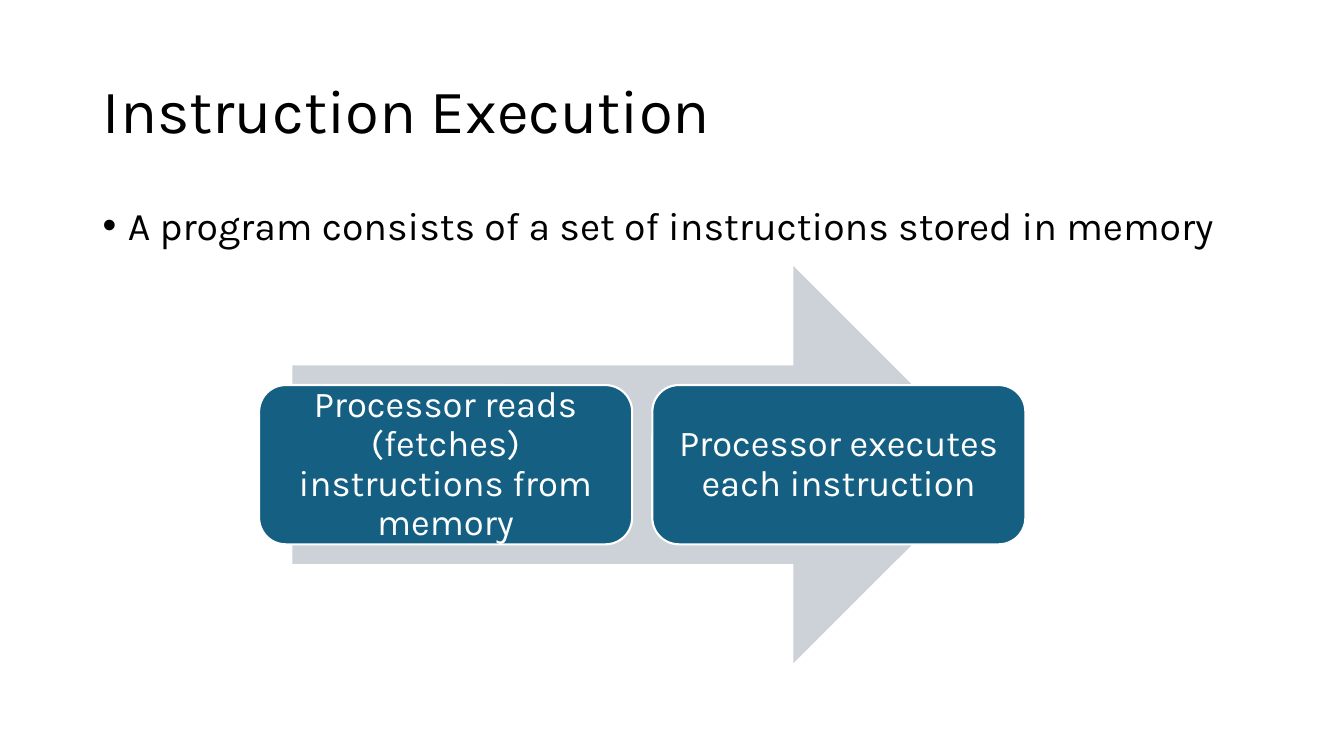
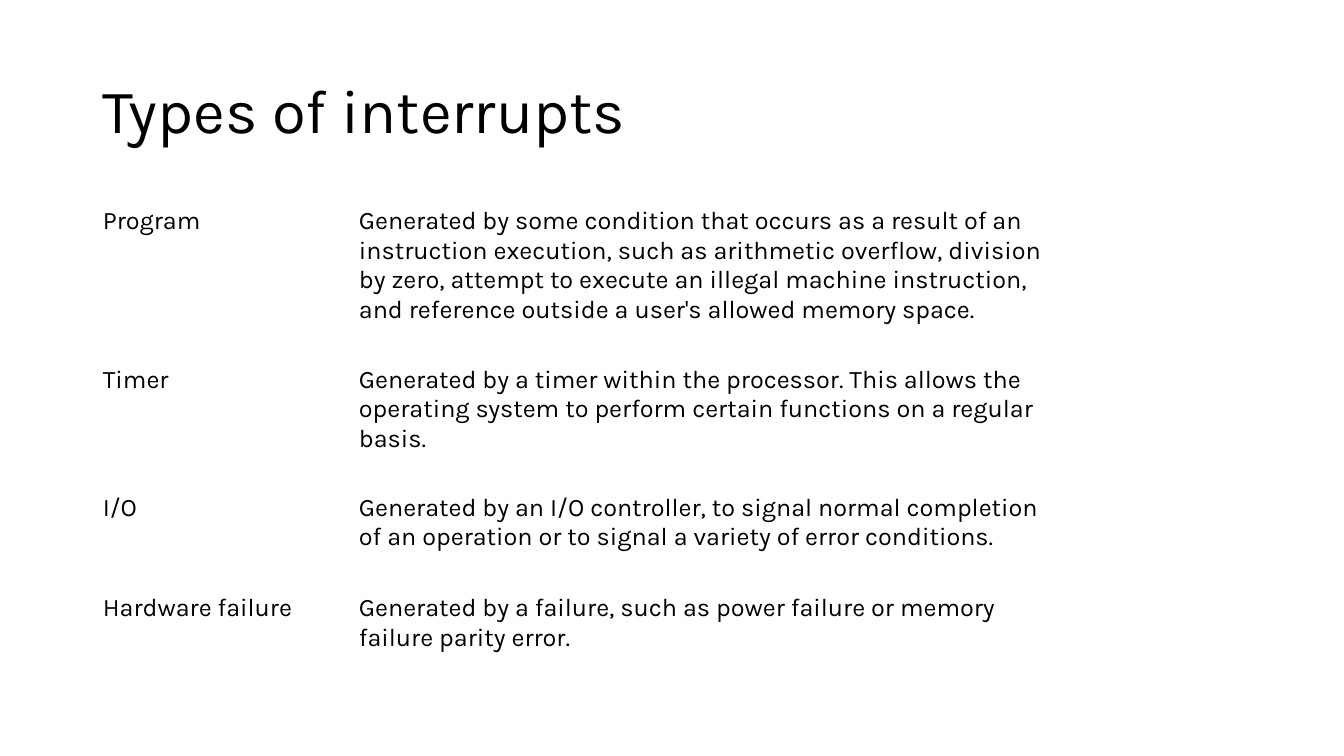
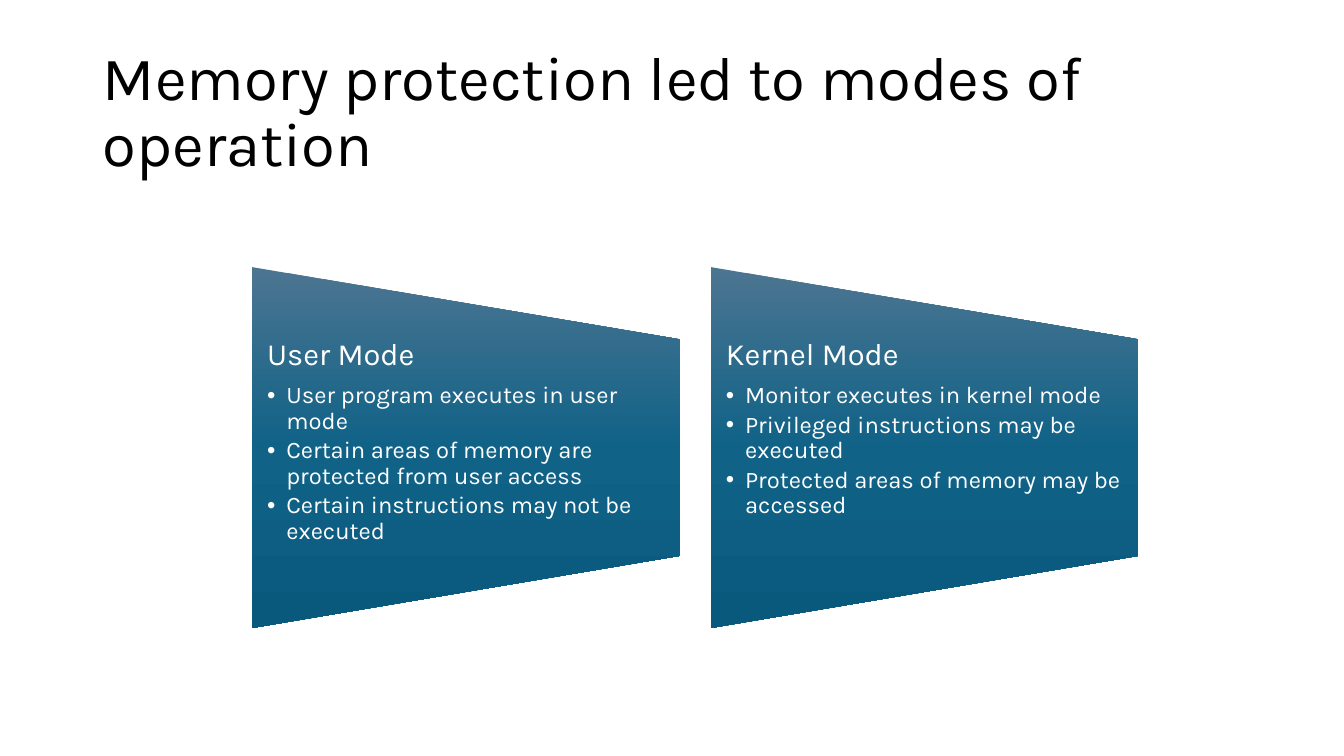
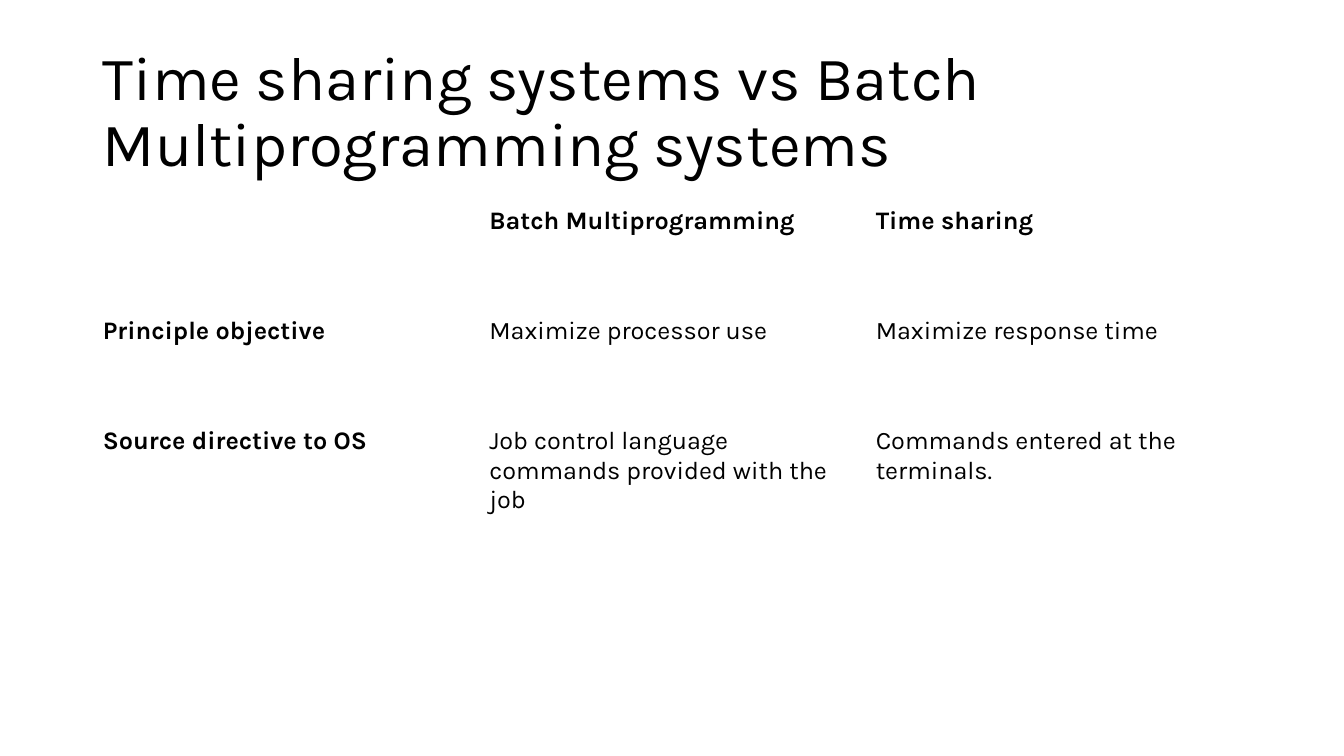
"""Build four slides on operating system basics."""
from dataclasses import dataclass

from lxml.etree import SubElement
from pptx import Presentation
from pptx.dml.color import RGBColor
from pptx.enum.shapes import MSO_SHAPE
from pptx.enum.text import MSO_ANCHOR, MSO_AUTO_SIZE, PP_ALIGN
from pptx.oxml.ns import qn
from pptx.presentation import Presentation as Deck
from pptx.shapes.autoshape import Shape
from pptx.slide import Slide
from pptx.text.text import TextFrame
from pptx.util import Inches, Pt

ARROW = MSO_SHAPE.RIGHT_ARROW
ROUND = MSO_SHAPE.ROUNDED_RECTANGLE
FLAP = MSO_SHAPE.FLOWCHART_MANUAL_OPERATION
LEFT, CENTER = PP_ALIGN.LEFT, PP_ALIGN.CENTER
MIDDLE = MSO_ANCHOR.MIDDLE
FIXED = MSO_AUTO_SIZE.NONE
BLANK = 5


@dataclass(frozen=True)
class Theme:
    """Colours, font, type sizes and the shared grid."""
    font: str = "Karla"
    ink: str = "000000"
    paper: str = "FFFFFF"
    blue: str = "156082"
    grey: str = "CCD2D8"
    fade: tuple[tuple[int, str], ...] = ((0, "4C7591"), (50, "106287"), (100, "09597D"))
    title: int = 44
    body: int = 28
    step: int = 26
    head: int = 22
    cell: int = 18
    item: int = 17
    lead: float = 0.9
    left: float = 0.92
    top: float = 2.0
    wide: float = 11.5


@dataclass(frozen=True)
class Box:
    """A place on the slide, in inches."""
    x: float
    y: float
    w: float
    h: float

    def emu(self) -> tuple[int, int, int, int]:
        """Give the four lengths for python-pptx."""
        return Inches(self.x), Inches(self.y), Inches(self.w), Inches(self.h)


@dataclass(frozen=True)
class Mode:
    """A mode of operation and its rules."""
    name: str
    rules: tuple[str, ...]


@dataclass(frozen=True)
class Grid:
    """A table with its column widths and row heights."""
    cols: tuple[float, ...]
    rows: tuple[float, ...]
    cells: tuple[tuple[str, ...], ...]
    heads: bool = False


T = Theme()

STEPS = (
    "Processor reads (fetches) instructions from memory",
    "Processor executes each instruction",
)
MODES = (
    Mode("User Mode", (
        "User program executes in user mode",
        "Certain areas of memory are protected from user access",
        "Certain instructions may not be executed",
    )),
    Mode("Kernel Mode", (
        "Monitor executes in kernel mode",
        "Privileged instructions may be executed",
        "Protected areas of memory may be accessed",
    )),
)
KINDS = Grid((2.54, 7.17), (1.57, 1.27, 1.0, 0.76), (
    ("Program", "Generated by some condition that occurs as a result of an instruction "
     "execution, such as arithmetic overflow, division by zero, attempt to execute an "
     "illegal machine instruction, and reference outside a user's allowed memory space."),
    ("Timer", "Generated by a timer within the processor. This allows the operating "
     "system to perform certain functions on a regular basis."),
    ("I/O", "Generated by an I/O controller, to signal normal completion of an "
     "operation or to signal a variety of error conditions."),
    ("Hardware failure", "Generated by a failure, such as power failure or memory "
     "failure parity error."),
))
GOALS = Grid((T.wide / 3,) * 3, (1.09, 1.09, 1.88), (
    ("", "Batch Multiprogramming", "Time sharing"),
    ("Principle objective", "Maximize processor use", "Maximize response time"),
    ("Source directive to OS", "Job control language commands provided with the job",
     "Commands entered at the terminals."),
), heads=True)


def write(frame: TextFrame, text: str, *, size: int, color: str = T.ink,
          bold: bool = False, align: PP_ALIGN = LEFT, lead: float = T.lead,
          before: float = 0, after: int = 0, hang: float = 0) -> None:
    """Add a paragraph; after is a percentage and hang makes a bullet."""
    para = frame.paragraphs[0]
    if para.runs:
        para = frame.add_paragraph()
    para.alignment = align
    para.line_spacing = lead
    para.space_before = Pt(before)
    run = para.add_run()
    run.text = text
    font = run.font
    font.name, font.size, font.bold = T.font, Pt(size), bold
    font.color.rgb = RGBColor.from_string(color)
    props = para._p.get_or_add_pPr()
    if after:
        gap = SubElement(props, qn("a:spcAft"))
        SubElement(gap, qn("a:spcPct"), val=str(after * 1000))
    if hang:
        props.set("marL", str(Inches(hang)))
        props.set("indent", str(-Inches(hang)))
        SubElement(props, qn("a:buFont"), typeface="Arial")
        SubElement(props, qn("a:buChar"), char="•")


def start(deck: Deck, text: str) -> Slide:
    """Add a slide with its title."""
    slide = deck.slides.add_slide(deck.slide_layouts[BLANK])
    title = slide.shapes.title
    title.left, title.top, title.width, title.height = Box(T.left, 0.4, T.wide, 1.45).emu()
    frame = title.text_frame
    frame.auto_size, frame.vertical_anchor = FIXED, MIDDLE
    write(frame, text, size=T.title)
    return slide


def area(slide: Slide, box: Box) -> TextFrame:
    """Add a wrapping text box."""
    frame = slide.shapes.add_textbox(*box.emu()).text_frame
    frame.word_wrap = True
    return frame


def plain(slide: Slide, kind: MSO_SHAPE, box: Box, fill: str = T.blue) -> Shape:
    """Add a flat shape with no outline."""
    shape = slide.shapes.add_shape(kind, *box.emu())
    shape.shadow.inherit = False
    shape.fill.solid()
    shape.fill.fore_color.rgb = RGBColor.from_string(fill)
    shape.line.fill.background()
    return shape


def shade(shape: Shape) -> None:
    """Fade the fill from top to bottom, whatever the rotation."""
    shape.fill.gradient()
    shape.fill.gradient_angle = 270
    grad = shape.element.spPr.find(qn("a:gradFill"))
    grad.set("rotWithShape", "0")
    stops = grad.find(qn("a:gsLst"))
    for old in list(stops):
        stops.remove(old)
    for pos, color in T.fade:
        stop = SubElement(stops, qn("a:gs"), pos=str(pos * 1000))
        SubElement(stop, qn("a:srgbClr"), val=color)


def step(slide: Slide, text: str, box: Box) -> None:
    """Draw one rounded step of the process."""
    shape = plain(slide, ROUND, box)
    shape.line.color.rgb = RGBColor.from_string(T.paper)
    shape.line.width = Pt(1.5)
    frame = shape.text_frame
    frame.word_wrap, frame.vertical_anchor = True, MIDDLE
    frame.margin_left = frame.margin_right = Inches(0.11)
    frame.margin_top = frame.margin_bottom = Inches(0.11)
    write(frame, text, size=T.step, color=T.paper, align=CENTER, after=35)


def panel(slide: Slide, mode: Mode, box: Box) -> None:
    """Draw one tapered panel with its heading and rules."""
    turn = (box.w - box.h) / 2
    shape = plain(slide, FLAP, Box(box.x + turn, box.y - turn, box.h, box.w))
    shape.rotation = 270
    shade(shape)
    high = box.h * 0.6
    frame = area(slide, Box(box.x, box.y + (box.h - high) / 2, box.w, high))
    frame.margin_left = frame.margin_right = Inches(0.15)
    frame.margin_top = frame.margin_bottom = 0
    write(frame, mode.name, size=T.head, color=T.paper, after=35)
    for rule in mode.rules:
        write(frame, rule, size=T.item, color=T.paper, after=15, hang=0.19)


def table(slide: Slide, grid: Grid) -> None:
    """Draw a clear table, with bold first row and column on request."""
    box = Box(T.left, T.top, sum(grid.cols), sum(grid.rows))
    view = slide.shapes.add_table(len(grid.rows), len(grid.cols), *box.emu()).table
    view.first_row = view.horz_banding = False
    for col, wide in zip(view.columns, grid.cols):
        col.width = Inches(wide)
    for r, (row, high) in enumerate(zip(view.rows, grid.rows)):
        row.height = Inches(high)
        for c, text in enumerate(grid.cells[r]):
            cell = view.cell(r, c)
            cell.fill.background()
            if text:
                bold = grid.heads and 0 in (r, c)
                write(cell.text_frame, text, size=T.cell, bold=bold, lead=1.0)


def main() -> None:
    """Build and save the deck."""
    deck = Presentation()
    deck.slide_width, deck.slide_height = Inches(13.33), Inches(7.5)

    slide = start(deck, "Instruction Execution")
    write(area(slide, Box(T.left, T.top, T.wide, 4.76)),
          "A program consists of a set of instructions stored in memory",
          size=T.body, before=10, hang=0.25)
    plain(slide, ARROW, Box(2.9, 2.64, 6.94, 3.94), T.grey)
    for i, text in enumerate(STEPS):
        step(slide, text, Box(2.57 + 3.9 * i, 3.82, 3.7, 1.58))

    table(start(deck, "Types of interrupts"), KINDS)

    slide = start(deck, "Memory protection led to modes of operation")
    for i, mode in enumerate(MODES):
        panel(slide, mode, Box(2.5 + 4.55 * i, 2.65, 4.24, 3.58))

    table(start(deck, "Time sharing systems vs Batch Multiprogramming systems"), GOALS)
    deck.save("out.pptx")


if __name__ == "__main__":
    main()
